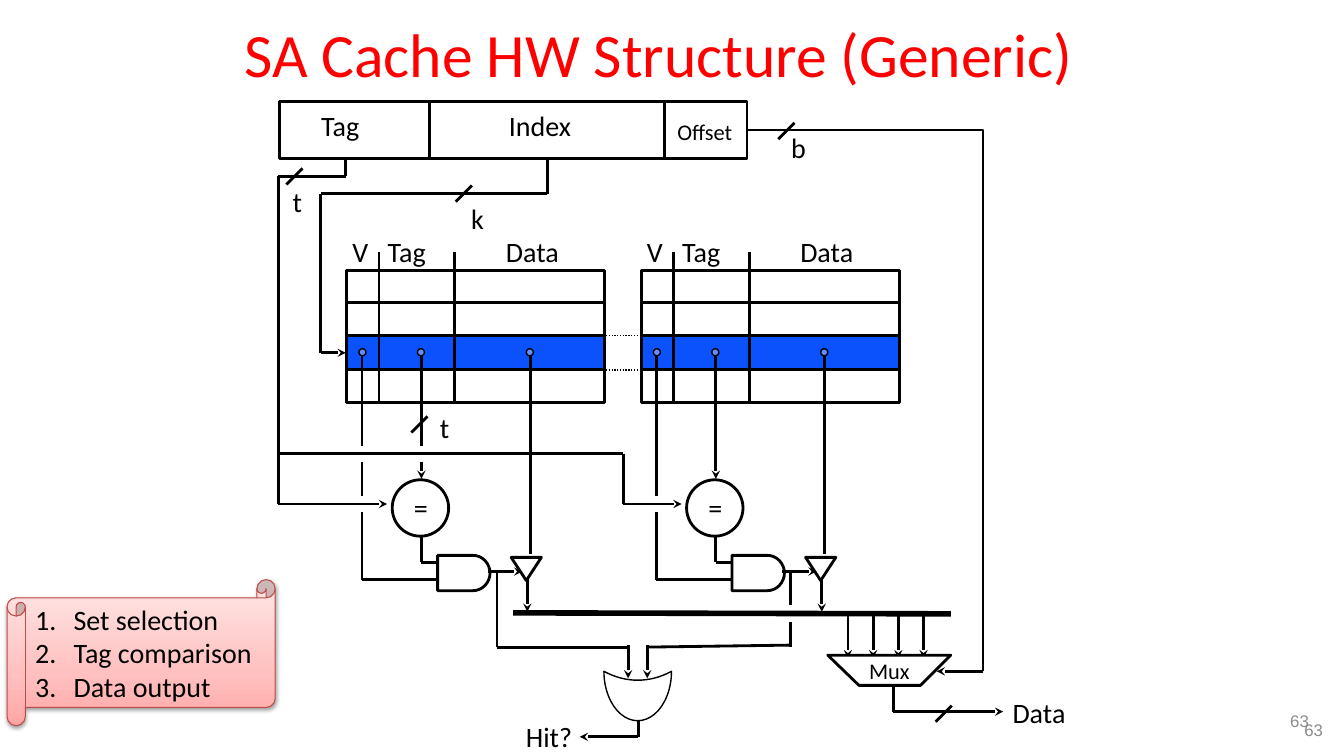
from copy import deepcopy
from math import cos, pi, sin

from pptx import Presentation
from pptx.dml.color import RGBColor
from pptx.enum.dml import MSO_LINE
from pptx.enum.shapes import MSO_CONNECTOR, MSO_SHAPE
from pptx.enum.text import MSO_ANCHOR, PP_ALIGN
from pptx.oxml import parse_xml
from pptx.oxml.ns import nsdecls, qn
from pptx.util import Pt

PX = 9144  # EMU in one px, a hundred px to the inch
FINE = 10  # outline steps in one px

BLACK = RGBColor(0x00, 0x00, 0x00)
WHITE = RGBColor(0xFF, 0xFF, 0xFF)
RED = RGBColor(0xFF, 0x00, 0x00)
GREY = RGBColor(0x8C, 0x8C, 0x8C)
BLUE = RGBColor(0x0B, 0x52, 0xFC)
SKY = RGBColor(0x61, 0x8F, 0xFD)
BRICK = RGBColor(0xBF, 0x4C, 0x48)
PINKS = [(0, RGBColor(0xFF, 0xA6, 0xA5)), (0.35, RGBColor(0xFF, 0xC0, 0xBF)),
         (1, RGBColor(0xFF, 0xE7, 0xE7))]

RECT, OVAL = MSO_SHAPE.RECTANGLE, MSO_SHAPE.OVAL
MOON, SCROLL = MSO_SHAPE.MOON, MSO_SHAPE.HORIZONTAL_SCROLL
STRAIGHT, ELBOW = MSO_CONNECTOR.STRAIGHT, MSO_CONNECTOR.ELBOW
DOTS = MSO_LINE.ROUND_DOT
LEFT, CENTER, RIGHT = PP_ALIGN.LEFT, PP_ALIGN.CENTER, PP_ALIGN.RIGHT
TOP, MIDDLE = MSO_ANCHOR.TOP, MSO_ANCHOR.MIDDLE

SHADE = ('<a:effectLst %s><a:outerShdw blurRad="40000" dist="20000" dir="5400000" '
         'rotWithShape="0"><a:srgbClr val="000000"><a:alpha val="38000"/></a:srgbClr>'
         '</a:outerShdw></a:effectLst>' % nsdecls("a"))


def emu(*lengths):
    return [length * PX for length in lengths]


class Board:
    """Holds the style and the slide that is being drawn."""
    face = "Calibri"
    ink = BLACK
    width = 2

    def __init__(self, slide):
        self.slide = slide
        self.shapes = slide.shapes

    def words(self, para, text, size, color=None, face=None, align=CENTER):
        para.alignment = align
        run = para.add_run()
        run.text = text
        for key, value in {"name": face or self.face, "size": Pt(size)}.items():
            setattr(run.font, key, value)
        run.font.color.rgb = color or self.ink

    def title(self, text, box):
        head = self.shapes.title
        for key, value in zip(("left", "top", "width", "height"), emu(*box)):
            setattr(head, key, value)
        head.text_frame.vertical_anchor = MIDDLE
        para = head.text_frame.paragraphs[0]
        para.line_spacing = 0.9
        self.words(para, text, 44, RED)

    def label(self, text, box, size=20, wrap=False, anchor=TOP, **style):
        frame = self.shapes.add_textbox(*emu(*box)).text_frame
        frame.word_wrap = wrap
        frame.vertical_anchor = anchor
        self.words(frame.paragraphs[0], text, size, **style)

    def dress(self, shape, fill=None, width=None, color=None):
        shape.shadow.inherit = False
        if fill is None:
            shape.fill.background()
        else:
            shape.fill.solid()
            shape.fill.fore_color.rgb = fill
        shape.line.color.rgb = color or self.ink
        shape.line.width = Pt(width or self.width)
        return shape

    def shape(self, kind, box, **style):
        return self.dress(self.shapes.add_shape(kind, *emu(*box)), **style)

    def outline(self, points, fill=None):
        start, *rest = [(x * FINE, y * FINE) for x, y in points]
        pen = self.shapes.build_freeform(*start, scale=PX / FINE)
        pen.add_line_segments(rest, close=True)
        return self.dress(pen.convert_to_shape(), fill=fill)

    def wire(self, x1, y1, x2, y2, tip=False, width=None, dash=None, kind=STRAIGHT):
        link = self.shapes.add_connector(kind, *emu(x1, y1, x2, y2))
        link.line.color.rgb = self.ink
        link.line.width = Pt(width or self.width)
        if dash:
            link.line.dash_style = dash
        props = link._element.spPr
        if tip:
            props.find(qn("a:ln")).append(
                parse_xml('<a:tailEnd %s type="stealth"/>' % nsdecls("a")))
        props.append(parse_xml("<a:effectLst %s/>" % nsdecls("a")))
        return link

    def slash(self, x, y):
        """Mark a wire as a bus."""
        self.wire(x + 8, y - 8, x - 8, y + 8)

    def steps(self, items, box):
        """Draw the scroll with its numbered list."""
        scroll = self.shape(SCROLL, box, width=0.75, color=BRICK)
        scroll.fill.gradient()
        props = scroll._element.spPr
        stops = props.find(".//" + qn("a:gsLst"))
        stops.append(deepcopy(stops[0]))
        for stop, (place, color) in zip(scroll.fill.gradient_stops, PINKS):
            stop.position = place
            stop.color.rgb = color
        scroll.fill.gradient_angle = 90
        props.replace(props.find(qn("a:effectLst")), parse_xml(SHADE))
        frame = scroll.text_frame
        frame.word_wrap = True
        frame.vertical_anchor = MIDDLE
        for i, item in enumerate(items):
            para = frame.add_paragraph() if i else frame.paragraphs[0]
            form = para._p.get_or_add_pPr()
            form.set("marL", str(38 * PX))
            form.set("indent", str(-38 * PX))
            form.append(parse_xml('<a:buAutoNum %s type="arabicPeriod"/>' % nsdecls("a")))
            self.words(para, item, 20, align=LEFT)

    def way(self, dx, cut, on):
        """Draw one cache way; its V and Tag wires break from cut to on."""
        row = self.shape(RECT, (343 + dx, 334, 257, 32), fill=BLUE, width=1)
        self.shape(RECT, (344 + dx, 268, 256, 131))
        for y in (300, 333, 367):
            self.wire(343 + dx, y, 601 + dx, y)
        for x in (376, 451):
            self.wire(x + dx, 250, x + dx, 400)
        for text, x, wide in (("V", 330, 55), ("Tag", 363, 81), ("Data", 488, 80)):
            self.label(text, (x + dx, 228, wide, 44))
        for x1, y1, x2, y2, tip in (
                (359, 350, 359, cut, False), (359, on, 359, 492, False),
                (359, 508, 359, 575, False), (359, 575, 434, 575, False),
                (418, 350, 418, cut, False), (418, on, 418, 475, True),
                (418, 525, 418, 558, False), (418, 558, 434, 558, False),
                (526, 350, 526, 550, False), (484, 567, 518, 567, True),
                (523, 574, 523, 607, True)):
            self.wire(x1 + dx, y1, x2 + dx, y2, tip)
        for x in (356, 414, 522):
            self.shape(OVAL, (x + dx, 346, 7, 7), fill=SKY, width=1)
        self.shape(OVAL, (389 + dx, 476, 56, 56), fill=WHITE)
        self.label("=", (395 + dx, 482, 45, 44))
        turns = [pi * (i / 16 - 0.5) for i in range(17)]
        arc = [(469 + dx + 17 * cos(a), 568.5 + 17.5 * sin(a)) for a in turns]
        self.outline([(434 + dx, 551), *arc, (434 + dx, 586)])
        self.outline([(537 + dx, 553), (507 + dx, 553), (522 + dx, 576)])
        return row


def main():
    deck = Presentation()
    deck.slide_width, deck.slide_height = emu(1333, 750)
    board = Board(deck.slides.add_slide(deck.slide_layouts[5]))
    board.title("SA Cache HW Structure (Generic)", (122, 17, 1063, 81))

    field = board.shape(RECT, (277, 101, 464, 56))
    for x in (426, 659):
        board.wire(x, 100, x, 158)
    row = board.way(0, 442, 458)
    board.way(292, 425, 425)
    for y in (333, 367):
        board.wire(601, y, 634, y, width=1, dash=DOTS)

    for ends in ((543, 158, 543, 192), (543, 192, 318, 192), (318, 192, 318, 350),
                 (343, 158, 343, 175), (343, 175, 276, 175), (276, 175, 276, 500),
                 (618, 450, 276, 450), (618, 450, 618, 500), (493, 567, 493, 642),
                 (784, 567, 784, 600), (784, 617, 784, 642), (642, 642, 783, 640),
                 (623, 642, 493, 642), (633, 714, 633, 731), (886, 681, 886, 706)):
        board.wire(*ends)
    board.wire(318, 350, 343, 350, tip=True).end_connect(row, 1)
    board.wire(943, 609, 509, 608, width=4)
    for ends in ((276, 500, 384, 500), (618, 500, 676, 500), (623, 640, 623, 673),
                 (642, 640, 642, 673), (633, 731, 575, 731), (886, 706, 995, 706),
                 (975, 666, 929, 666), *((x, 611, x, 653) for x in range(841, 917, 25))):
        board.wire(*ends, tip=True)
    bend = board.wire(741, 129, 975, 666, kind=ELBOW)
    bend._element.spPr.prstGeom.set("prst", "bentConnector2")
    bend.begin_connect(field, 3)
    for x, y in ((292, 175), (460, 192), (780, 130), (416, 421), (936, 708)):
        board.slash(x, y)

    gate = board.shape(MOON, (608, 657, 49, 67), width=1)
    gate.rotation = 270
    gate.adjustments[0] = 0.82
    mux = board.outline([(821, 650), (943, 650), (913, 680), (852, 680)], fill=WHITE)
    mux.text_frame.word_wrap = False
    mux.text_frame.vertical_anchor = MIDDLE
    board.words(mux.text_frame.paragraphs[0], "Mux", 16)

    for text, *box in (("Tag", 297, 103, 81, 44), ("Index", 491, 103, 89, 44),
                       ("t", 277, 178, 36, 44), ("k", 452, 195, 43, 44),
                       ("b", 770, 125, 44, 44), ("t", 423, 402, 36, 44),
                       ("Hit?", 511, 709, 67, 44), ("Data", 994, 685, 73, 44)):
        board.label(text, box)
    board.label("Offset", (659, 112, 80, 37), size=16)
    board.steps(("Set selection", "Tag comparison", "Data output"), (7, 575, 266, 145))
    for box in ((1044, 708, 278, 32), (997, 695, 311, 40)):
        board.label("63", box, size=12, wrap=True, anchor=MIDDLE,
                    color=GREY, face="Arial", align=RIGHT)
    deck.save("out.pptx")


if __name__ == "__main__":
    main()
